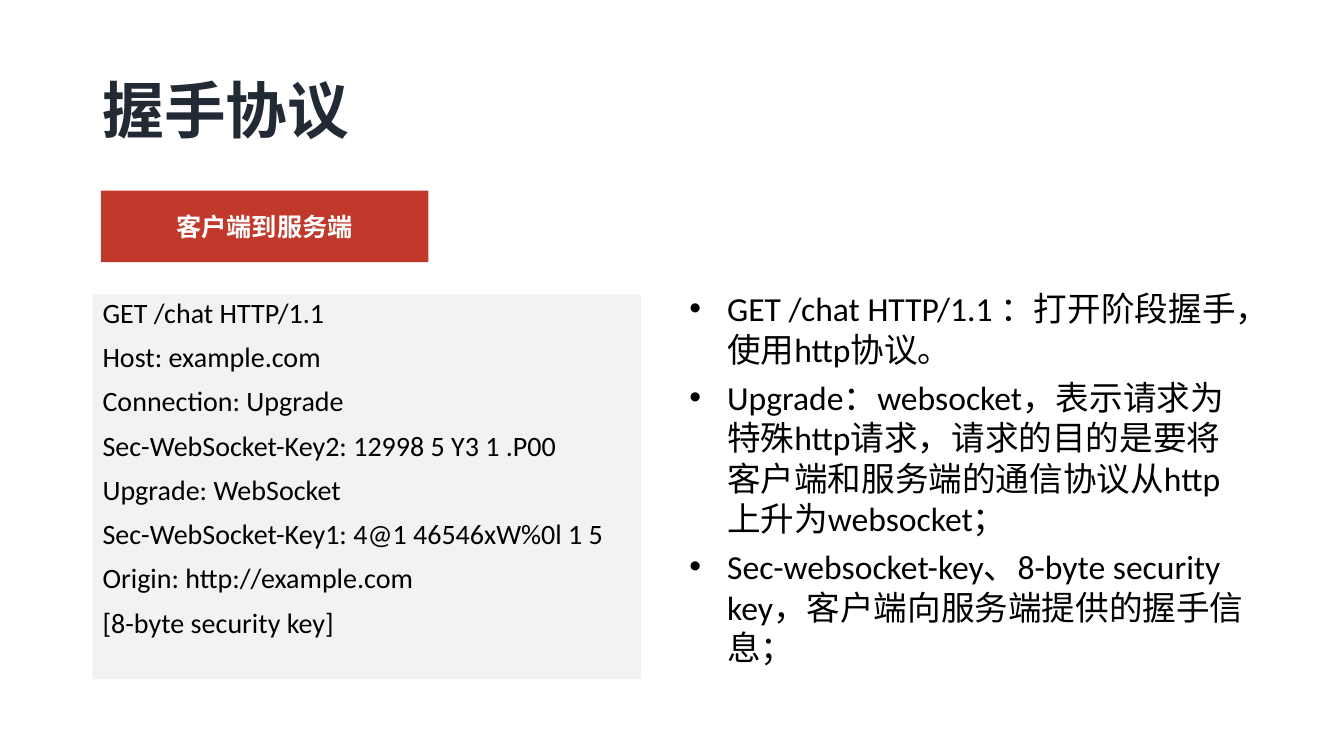
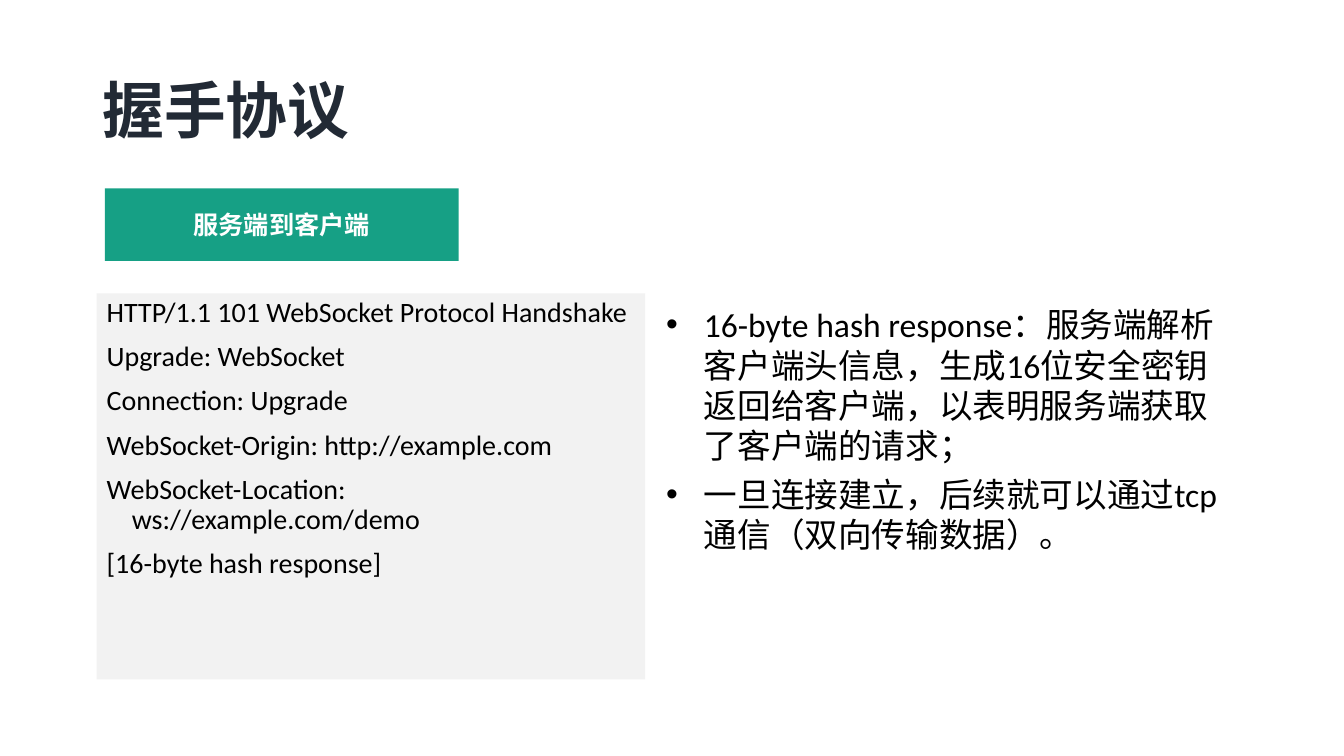
from pptx import Presentation
from pptx.dml.color import RGBColor
from pptx.enum.shapes import MSO_SHAPE
from pptx.enum.text import MSO_ANCHOR, PP_ALIGN
from pptx.oxml.ns import qn
from pptx.util import Pt

RECT = MSO_SHAPE.RECTANGLE
TOP, MIDDLE = MSO_ANCHOR.TOP, MSO_ANCHOR.MIDDLE
LEFT, CENTER = PP_ALIGN.LEFT, PP_ALIGN.CENTER

THEME = {
    "font": "Calibri",
    "title": {"size": Pt(44), "bold": True, "color": "222A35"},
    "tag": {"size": Pt(18), "bold": True, "color": "FFFFFF"},
    "code": {"size": Pt(20), "bold": False, "color": "000000"},
    "notes": {"size": Pt(24), "bold": False, "color": "000000"},
    "panel": "F2F2F2",
    "red": "C0392B",
    "green": "16A085",
}
TITLE_BOX = (66.2, 28.8, 828, 104.4)

SLIDES = [
    {
        "title": "握手协议",
        "tag": "客户端到服务端",
        "tag_fill": THEME["red"],
        "tag_box": (72, 136.1, 234, 51.1),
        "code_box": (66.2, 210.2, 391.7, 275),
        "notes_box": (485.3, 202.3, 416.2, 292.3),
        "code": [
            "GET /chat HTTP/1.1",
            "Host: example.com",
            "Connection: Upgrade",
            "Sec-WebSocket-Key2: 12998 5 Y3 1 .P00",
            "Upgrade: WebSocket",
            "Sec-WebSocket-Key1: 4@1 46546xW%0l 1 5",
            "Origin: http://example.com",
            "[8-byte security key]",
        ],
        "notes": [
            "GET /chat HTTP/1.1 ：打开阶段握手，使用http协议。",
            "Upgrade：websocket，表示请求为特殊http请求，请求的目的是要将"
            "客户端和服务端的通信协议从http上升为websocket；",
            "Sec-websocket-key、8-byte security key，客户端向服务端提供的握手信息；",
        ],
    },
    {
        "title": "握手协议",
        "tag": "服务端到客户端",
        "tag_fill": THEME["green"],
        "tag_box": (74.9, 134.6, 252.7, 51.8),
        "code_box": (69.1, 209.5, 391.7, 275.8),
        "notes_box": (468.7, 213.8, 416.2, 213.8),
        "code": [
            "HTTP/1.1 101 WebSocket Protocol Handshake",
            "Upgrade: WebSocket",
            "Connection: Upgrade",
            "WebSocket-Origin: http://example.com",
            "WebSocket-Location: ws://example.com/demo",
            "[16-byte hash response]",
        ],
        "notes": [
            "16-byte hash response：服务端解析客户端头信息，生成16位安全密钥"
            "返回给客户端，以表明服务端获取了客户端的请求；",
            "一旦连接建立，后续就可以通过tcp通信（双向传输数据）。",
        ],
    },
]


def add_block(s, box, lines, style, fill=None, anchor=TOP, align=LEFT,
              spacing=1.0, before=0, hang=0, bullet=None):
    """Place lines as paragraphs in a filled rectangle or, without fill, a text box."""
    box = [Pt(v) for v in box]
    if fill:
        sp = s.shapes.add_shape(RECT, *box)
        sp.shadow.inherit = False
        sp.fill.solid()
        sp.fill.fore_color.rgb = RGBColor.from_string(fill)
        sp.line.fill.background()
    else:
        sp = s.shapes.add_textbox(*box)
    tf = sp.text_frame
    tf.word_wrap = True
    tf.vertical_anchor = anchor
    for i, line in enumerate(lines):
        p = tf.add_paragraph() if i else tf.paragraphs[0]
        p.alignment = align
        p.line_spacing = spacing
        p.space_before = Pt(before if i else 0)
        pPr = p._p.get_or_add_pPr()
        if hang:
            pPr.set("marL", str(Pt(hang)))
            pPr.set("indent", str(-Pt(hang)))
        if bullet:
            bu_font = pPr.makeelement(qn("a:buFont"), {"typeface": "Arial"})
            bu_char = pPr.makeelement(qn("a:buChar"), {"char": bullet})
            pPr.extend([bu_font, bu_char])
        r = p.add_run()
        r.text = line
        r.font.name = THEME["font"]
        for name in ("size", "bold"):
            setattr(r.font, name, style[name])
        r.font.color.rgb = RGBColor.from_string(style["color"])


prs = Presentation()
prs.slide_width, prs.slide_height = Pt(960), Pt(540)

for content in SLIDES:
    s = prs.slides.add_slide(prs.slide_layouts[6])
    add_block(s, TITLE_BOX, [content["title"]], THEME["title"],
              anchor=MIDDLE, spacing=0.9)
    add_block(s, content["tag_box"], [content["tag"]], THEME["tag"],
              fill=content["tag_fill"], anchor=MIDDLE, align=CENTER)
    add_block(s, content["code_box"], content["code"], THEME["code"],
              fill=THEME["panel"], spacing=0.9, before=10, hang=18)
    add_block(s, content["notes_box"], content["notes"], THEME["notes"],
              before=5.75, hang=27, bullet="•")

prs.save("out.pptx")
